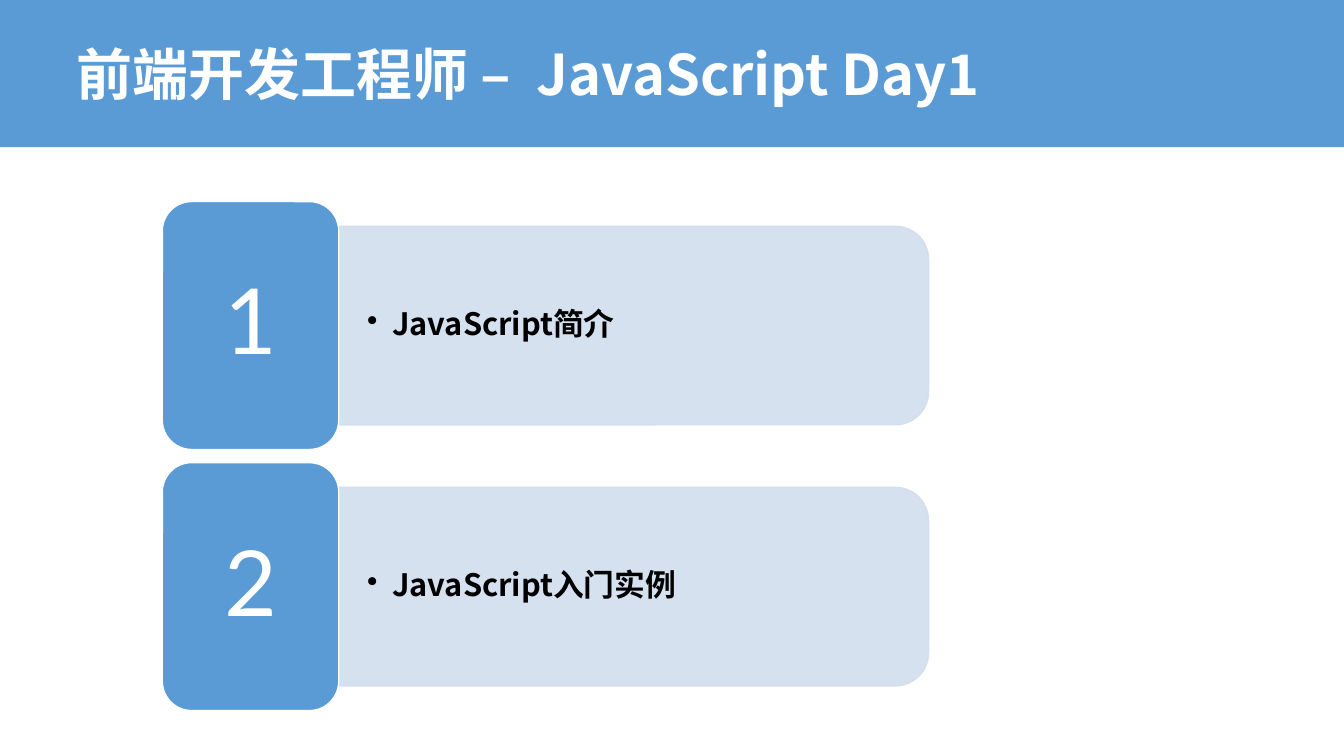
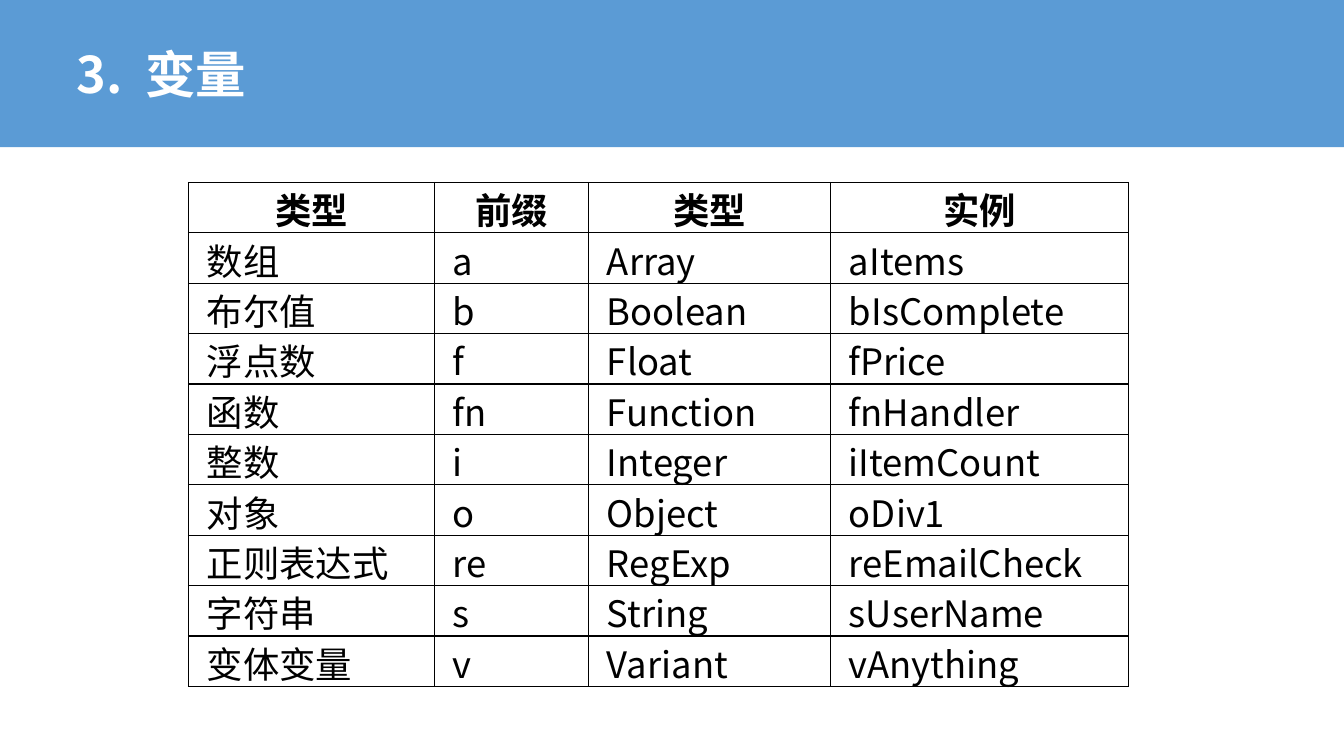
"""Build two JavaScript course slides: the day's agenda and a table of variable prefixes."""
from lxml import etree
from pptx import Presentation
from pptx.dml.color import RGBColor
from pptx.enum import shapes, text
from pptx.oxml.ns import qn
from pptx.util import Inches, Pt

BLUE = RGBColor(0x5B, 0x9B, 0xD5)
PALE = RGBColor(0xD2, 0xDE, 0xEF)
WHITE = RGBColor(255, 255, 255)
BLACK = RGBColor(0, 0, 0)
SANS, NUMERAL, LATIN = "Noto Sans CJK SC", "Lato", "Calibri"
SHAPE = shapes.MSO_SHAPE
MIDDLE = text.MSO_ANCHOR.MIDDLE
CENTER = text.PP_ALIGN.CENTER

AGENDA_TITLE = ("前端开发工程师 –", "JavaScript Day1", 40)
AGENDA = ["JavaScript简介", "JavaScript入门实例"]
TABLE_TITLE = ("3.", "变量", 36)
PREFIXES = [
    ("类型", "前缀", "类型", "实例"),
    ("数组", "a", "Array", "aItems"),
    ("布尔值", "b", "Boolean", "bIsComplete"),
    ("浮点数", "f", "Float", "fPrice"),
    ("函数", "fn", "Function", "fnHandler"),
    ("整数", "i", "Integer", "iItemCount"),
    ("对象", "o", "Object", "oDiv1"),
    ("正则表达式", "re", "RegExp", "reEmailCheck"),
    ("字符串", "s", "String", "sUserName"),
    ("变体变量", "v", "Variant", "vAnything"),
]
COLUMN_WIDTHS = [2.44, 1.53, 2.4, 2.95]
ROW_HEIGHT = 0.5


def style_run(run, size, color, font=SANS, bold=False):
    run.font.size, run.font.bold, run.font.name = Pt(size), bold, font
    run.font.color.rgb = color
    east_asian = etree.SubElement(run.font._element, qn("a:ea"))
    east_asian.set("typeface", SANS)


def add_block(slide, kind, left, top, width, height, fill, line=None):
    block = slide.shapes.add_shape(
        kind, Inches(left), Inches(top), Inches(width), Inches(height))
    block.shadow.inherit = False
    block.fill.solid()
    block.fill.fore_color.rgb = fill
    if line is None:
        block.line.fill.background()
    else:
        block.line.color.rgb, block.line.width = line, Pt(1)
    return block


def add_text_area(slide, left, top, width, height):
    area = slide.shapes.add_textbox(
        Inches(left), Inches(top), Inches(width), Inches(height)).text_frame
    area.word_wrap, area.vertical_anchor = True, MIDDLE
    return area


def pad(frame):
    frame.margin_left = frame.margin_right = Inches(0.27)
    frame.margin_top = frame.margin_bottom = Inches(0.14)


def add_titled_slide(deck, title):
    slide = deck.slides.add_slide(deck.slide_layouts[6])
    add_block(slide, SHAPE.RECTANGLE, 0, 0, 13.33, 1.46, BLUE)
    lead, rest, size = title
    heading = add_text_area(slide, 0.66, 0, 11.76, 1.46).paragraphs[0]
    for part in (lead, " ", rest):
        run = heading.add_run()
        run.text = part
        style_run(run, size, WHITE, bold=True)
    heading.runs[1].font._element.set("spc", str(round(size * 22)))
    return slide


def add_agenda_item(slide, number, topic):
    top = 2 + (number - 1) * 2.59
    bar_length, bar_height = 5.85, 1.97
    middle = top + 2.46 / 2
    bar = add_block(slide, SHAPE.ROUND_2_SAME_RECTANGLE,
                    3.36 + (bar_length - bar_height) / 2, middle - bar_length / 2,
                    bar_height, bar_length, PALE, PALE)
    bar.rotation = 90
    for color in bar._element.spPr.iter(qn("a:srgbClr")):
        etree.SubElement(color, qn("a:alpha")).set("val", "90000")

    label = add_text_area(slide, 3.37, middle - 0.89, 5.75, 1.78)
    label.text = topic
    bullet = label.paragraphs[0]
    bullet.line_spacing = 0.9
    props = bullet._p.get_or_add_pPr()
    props.set("marL", str(Inches(0.25)))
    props.set("indent", str(-Inches(0.25)))
    etree.SubElement(props, qn("a:buChar")).set("char", "•")
    style_run(bullet.runs[0], 22, BLACK, bold=True)

    badge = add_block(slide, SHAPE.ROUNDED_RECTANGLE, 1.61, top, 1.75, 2.46, BLUE, WHITE)
    badge.text_frame.text = str(number)
    badge.text_frame.vertical_anchor = MIDDLE
    numeral = badge.text_frame.paragraphs[0]
    numeral.alignment, numeral.line_spacing = CENTER, 0.9
    style_run(numeral.runs[0], 65, WHITE, NUMERAL)
    for frame in (label, badge.text_frame):
        pad(frame)


def draw_borders(cell):
    props = cell._tc.get_or_add_tcPr()
    for place, side in enumerate(("lnL", "lnR", "lnT", "lnB")):
        border = etree.Element(qn("a:" + side), w=str(Pt(1)))
        fill = etree.SubElement(border, qn("a:solidFill"))
        etree.SubElement(fill, qn("a:srgbClr")).set("val", str(BLACK))
        props.insert(place, border)


def add_prefix_table(slide):
    table = slide.shapes.add_table(
        len(PREFIXES), len(COLUMN_WIDTHS), Inches(1.87), Inches(1.81),
        Inches(sum(COLUMN_WIDTHS)), Inches(ROW_HEIGHT * len(PREFIXES))).table
    table.first_row = table.horz_banding = False
    for column, width in zip(table.columns, COLUMN_WIDTHS):
        column.width = Inches(width)
    for r, entries in enumerate(PREFIXES):
        header = r == 0
        for c, entry in enumerate(entries):
            cell = table.cell(r, c)
            cell.text = entry
            cell.fill.background()
            cell.vertical_anchor = MIDDLE
            cell.margin_left = cell.margin_right = Inches(0.18)
            cell.margin_top = cell.margin_bottom = 0
            line = cell.text_frame.paragraphs[0]
            if header:
                line.alignment = CENTER
            style_run(line.runs[0], 26, BLACK, LATIN if header or c == 0 else SANS, header)
            draw_borders(cell)


def main():
    deck = Presentation()
    deck.slide_width, deck.slide_height = Inches(13.33), Inches(7.5)
    agenda = add_titled_slide(deck, AGENDA_TITLE)
    for number, topic in enumerate(AGENDA, 1):
        add_agenda_item(agenda, number, topic)
    add_prefix_table(add_titled_slide(deck, TABLE_TITLE))
    deck.save("out.pptx")


if __name__ == "__main__":
    main()
